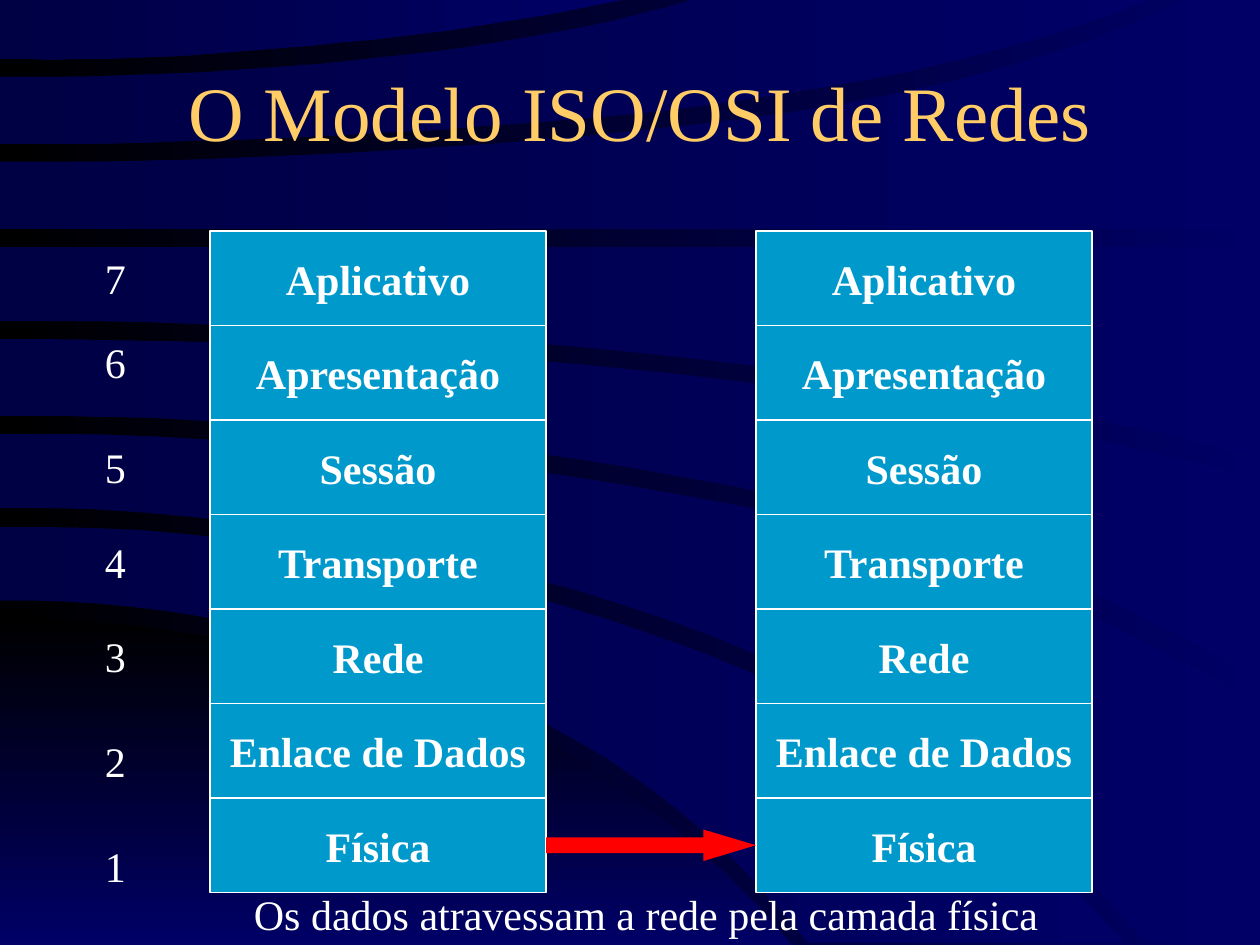
from dataclasses import dataclass
from math import prod

from pptx import Presentation
from pptx.dml.color import RGBColor
from pptx.dml.fill import FillFormat
from pptx.enum.shapes import MSO_SHAPE as Preset
from pptx.enum.text import MSO_ANCHOR as Anchor, MSO_AUTO_SIZE as AutoSize, PP_ALIGN as Align
from pptx.shapes.autoshape import Shape
from pptx.shapes.shapetree import GroupShapes, SlideShapes
from pptx.util import Emu, Pt

PX = 7620  # EMU per px, 120 px to the inch
WIDTH, HEIGHT = 1200, 900
FONT = "Times New Roman"

BLACK, DARK_NAVY, NAVY = "000000", "000044", "000066"
GOLD, WHITE, CYAN, RED = "FFCC66", "FFFFFF", "0099CC", "FF0000"

LAYERS = ("Aplicativo", "Apresentação", "Sessão", "Transporte", "Rede", "Enlace de Dados", "Física")
NUMBER_TOPS = (235, 315, 415, 505, 595, 695, 795)
STACK_TOP, LAYER_WIDTH, LAYER_HEIGHT = 220, 320, 90
SENDER_LEFT, RECEIVER_LEFT = 200, 720
CURVE_STEPS = 24


@dataclass(frozen=True)
class Box:
    left: int
    top: int
    width: int
    height: int

    def emu(self) -> tuple[Emu, ...]:
        return tuple(Emu(side * PX) for side in (self.left, self.top, self.width, self.height))


@dataclass(frozen=True)
class TextStyle:
    size: int = 24
    color: str = WHITE
    bold: bool = False
    align: Align = Align.LEFT
    anchor: Anchor = Anchor.TOP


@dataclass(frozen=True)
class Edge:
    """A curve from the left margin to end, through evenly spaced heights."""
    end: int
    heights: tuple[int, ...]

    def height_at(self, position: float) -> float:
        """Interpolate with the Lagrange polynomial; position counts heights."""
        knots = range(len(self.heights))
        return sum(height * prod((position - other) / (knot - other) for other in knots if other != knot)
                   for knot, height in enumerate(self.heights))

    def points(self) -> list[tuple[int, int]]:
        spans = len(self.heights) - 1
        steps = CURVE_STEPS if spans else 1
        return [(round(self.end * step / steps), round(self.height_at(spans * step / steps)))
                for step in range(steps + 1)]


@dataclass(frozen=True)
class Band:
    """A curved stripe behind the content; angle counts anticlockwise."""
    top: Edge
    bottom: Edge
    corners: tuple[tuple[int, int], ...] = ()
    start: str = DARK_NAVY
    angle: int = 0


BANDS = (
    Band(Edge(754, (589, 605, 649, 734, 900)), Edge(754, (900,)), start=BLACK, angle=270),
    Band(Edge(1072, (502, 520, 577, 685, 898)), Edge(770, (572, 587, 633, 722, 898))),
    Band(Edge(WIDTH, (413, 426, 463, 533, 672)), Edge(1091, (484, 503, 561, 672, 898)),
         corners=((WIDTH, 898),)),
    Band(Edge(WIDTH, (323, 330, 352, 392, 455)), Edge(WIDTH, (396, 408, 445, 514, 650))),
    Band(Edge(WIDTH, (235,)), Edge(WIDTH, (306, 313, 335, 373, 437))),
    Band(Edge(1132, (154, 148, 129, 90, -2)), Edge(WIDTH, (218,)), corners=((WIDTH, -2),)),
    Band(Edge(667, (73, 70, 58, 36, -2)), Edge(1100, (137, 131, 113, 76, -2))),
    Band(Edge(601, (-2,)), Edge(601, (56, 54, 43, 25, -2))),
)

TITLE = TextStyle(44, GOLD, align=Align.CENTER, anchor=Anchor.MIDDLE)
LAYER_NAME = TextStyle(bold=True, align=Align.CENTER, anchor=Anchor.MIDDLE)
LABEL = TextStyle()


def rgb(color: str) -> RGBColor:
    return RGBColor.from_string(color)


def fill_gradient(fill: FillFormat, start: str, end: str, angle: int) -> None:
    fill.gradient()
    fill.gradient_angle = angle
    for stop, color in zip(fill.gradient_stops, (start, end)):
        stop.color.rgb = rgb(color)


def draw_band(shapes: SlideShapes, band: Band) -> None:
    first, *others = [*band.top.points(), *band.corners, *reversed(band.bottom.points())]
    builder = shapes.build_freeform(*first, scale=PX)
    builder.add_line_segments(others, close=True)
    stripe = builder.convert_to_shape()
    stripe.shadow.inherit = False
    fill_gradient(stripe.fill, band.start, NAVY, band.angle)
    stripe.line.fill.background()


def write(shape: Shape, text: str, style: TextStyle, wrap: bool = False) -> None:
    frame = shape.text_frame
    frame.word_wrap = wrap
    frame.vertical_anchor = style.anchor
    paragraph = frame.paragraphs[0]
    paragraph.alignment = style.align
    run = paragraph.add_run()
    run.text = text
    run.font.name = FONT
    run.font.size = Pt(style.size)
    run.font.bold = style.bold
    run.font.color.rgb = rgb(style.color)


def draw_label(shapes: SlideShapes | GroupShapes, box: Box, text: str) -> None:
    label = shapes.add_textbox(*box.emu())
    write(label, text, LABEL)
    label.text_frame.auto_size = AutoSize.SHAPE_TO_FIT_TEXT


def draw_solid(shapes: SlideShapes | GroupShapes, preset: Preset, box: Box, color: str) -> Shape:
    solid = shapes.add_shape(preset, *box.emu())
    solid.shadow.inherit = False
    solid.fill.solid()
    solid.fill.fore_color.rgb = rgb(color)
    solid.line.fill.background()
    return solid


def draw_stack(shapes: SlideShapes, left: int) -> None:
    """Draw one machine's seven layers as a group."""
    stack = shapes.add_group_shape().shapes
    for row, name in enumerate(LAYERS):
        box = Box(left, STACK_TOP + row * LAYER_HEIGHT, LAYER_WIDTH, LAYER_HEIGHT)
        layer = draw_solid(stack, Preset.RECTANGLE, box, CYAN)
        layer.line.color.rgb = rgb(WHITE)
        layer.line.width = Pt(0.75)
        write(layer, name, LAYER_NAME)


def draw_numbers(shapes: SlideShapes) -> None:
    numbers = shapes.add_group_shape().shapes
    for index, top in enumerate(NUMBER_TOPS):
        draw_label(numbers, Box(88, top, 43, 60), str(len(LAYERS) - index))


def main() -> None:
    deck = Presentation()
    deck.slide_width, deck.slide_height = Emu(WIDTH * PX), Emu(HEIGHT * PX)
    slide = deck.slides.add_slide(deck.slide_layouts[6])
    shapes = slide.shapes

    fill_gradient(slide.background.fill, BLACK, NAVY, 0)
    for band in BANDS:
        draw_band(shapes, band)

    title = shapes.add_textbox(*Box(100, 30, 1020, 150).emu())
    write(title, "O Modelo ISO/OSI de Redes", TITLE, wrap=True)

    draw_stack(shapes, SENDER_LEFT)
    draw_numbers(shapes)
    draw_stack(shapes, RECEIVER_LEFT)

    sender_right = SENDER_LEFT + LAYER_WIDTH
    arrow_box = Box(sender_right, 790, RECEIVER_LEFT - sender_right, 30)
    arrow = draw_solid(shapes, Preset.RIGHT_ARROW, arrow_box, RED)
    arrow.adjustments[1] = 1.67
    draw_label(shapes, Box(230, 840, 772, 60), "Os dados atravessam a rede pela camada física")

    deck.save("out.pptx")


if __name__ == "__main__":
    main()
